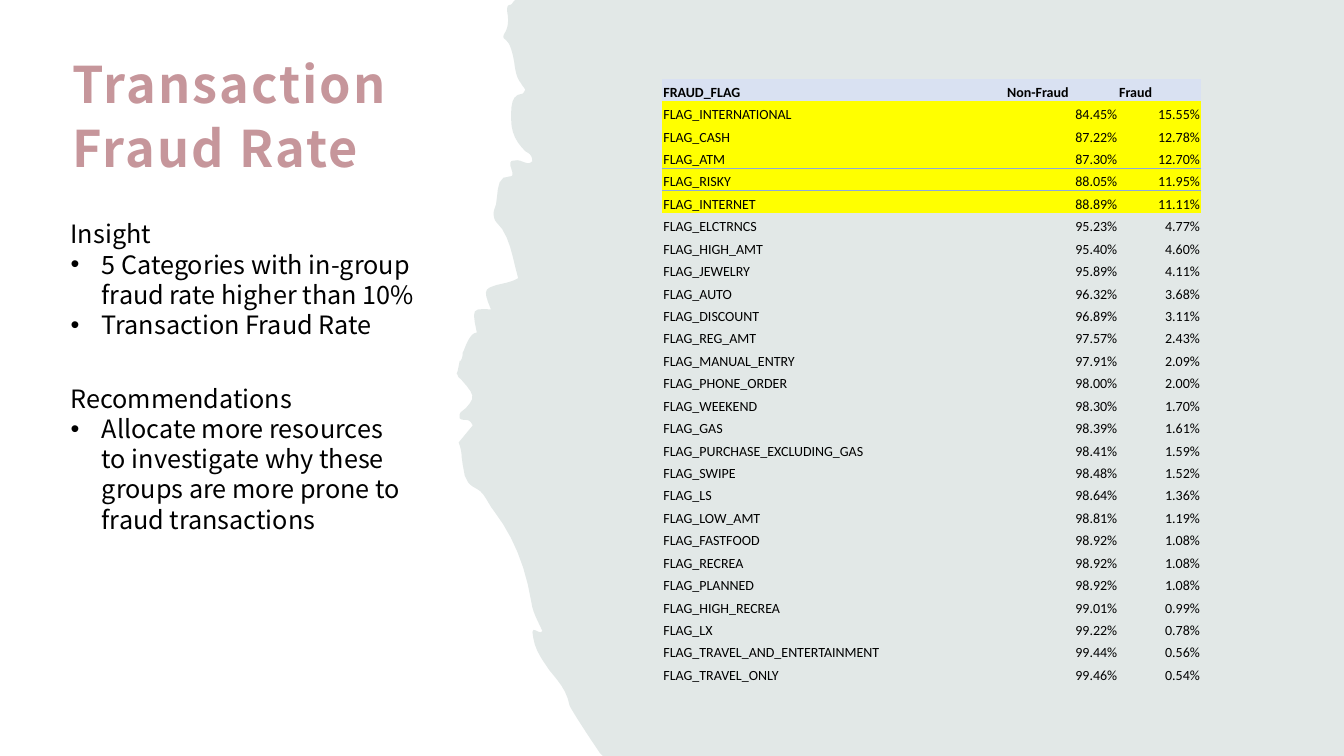
from dataclasses import dataclass

from lxml import etree
from pptx import Presentation
from pptx.dml.color import RGBColor
from pptx.enum.shapes import MSO_SHAPE
from pptx.enum.text import MSO_ANCHOR, MSO_AUTO_SIZE, PP_ALIGN
from pptx.oxml.ns import qn
from pptx.util import Inches, Pt

RECT = MSO_SHAPE.RECTANGLE
MIDDLE, BOTTOM, TOP = MSO_ANCHOR.MIDDLE, MSO_ANCHOR.BOTTOM, MSO_ANCHOR.TOP
LEFT, RIGHT = PP_ALIGN.LEFT, PP_ALIGN.RIGHT
NO_FIT = MSO_AUTO_SIZE.NONE
NO_STYLE = "{2D5ABB26-0587-4C30-8999-92F81FD0307C}"


@dataclass(frozen=True)
class Theme:
    paper: str = "FFFFFF"
    mist: str = "E2E8E7"
    rose: str = "C6969B"
    ink: str = "000000"
    header: str = "D9E1F2"
    highlight: str = "FFFF00"
    rule: str = "8EA9DB"
    text_font: str = "Noto Sans CJK SC"
    table_font: str = "Calibri"
    title_size: int = 36
    body_size: int = 18
    table_size: int = 10


T = Theme()
WIDTH, HEIGHT = 13.33, 7.5

# EDGE
TORN_EDGE = [
    (5.95, 7.47), (5.76, 7.19, 5.65, 7.01, 5.65, 7), (5.62, 6.84, 5.53, 6.75, 5.45, 6.65),
    (5.39, 6.56, 5.31, 6.46, 5.29, 6.33), (5.25, 6.16, 5.36, 6.32, 5.38, 6.26),
    (5.34, 6.17, 5.28, 6.07, 5.27, 5.97), (5.21, 5.61, 5.09, 5.32, 4.9, 5.07),
    (4.84, 5, 4.81, 4.89, 4.73, 4.85), (4.69, 4.83, 4.66, 4.81, 4.64, 4.78),
    (4.61, 4.72), (4.59, 4.61), (4.58, 4.54), (4.58, 4.5, 4.57, 4.45, 4.56, 4.42),
    (4.55, 4.39), (4.69, 4.22), (4.65, 4.13, 4.6, 4.19, 4.56, 4.15),
    (4.56, 4.11), (4.57, 4.09), (4.62, 4.05), (4.72, 3.94, 4.71, 3.92, 4.57, 3.76),
    (4.55, 3.75, 4.54, 3.73, 4.54, 3.72), (4.53, 3.71), (4.54, 3.68), (4.56, 3.58),
    (4.57, 3.58), (4.58, 3.56, 4.59, 3.54, 4.59, 3.5), (4.6, 3.48),
    (4.64, 3.37, 4.68, 3.3, 4.73, 3.3), (4.68, 3.06, 4.68, 3.06, 4.87, 3.07),
    (4.8, 2.9, 4.8, 2.87, 4.89, 2.84), (4.97, 2.81, 5.06, 2.81, 5.14, 2.76),
    (5.08, 2.55, 5.06, 2.33, 4.92, 2.2), (4.9, 2.18, 4.89, 2.12, 4.9, 2.09),
    (4.96, 1.98, 4.89, 1.74, 5.06, 1.75), (5.08, 1.75, 5.09, 1.74, 5.08, 1.7),
    (5.03, 1.57, 5.09, 1.6, 5.13, 1.59), (5.18, 1.59, 5.24, 1.65, 5.28, 1.6),
    (5.28, 1.53, 5.24, 1.52, 5.21, 1.5), (5.13, 1.42, 5.07, 1.33, 5.07, 1.18),
    (5.07, 1.05, 5.07, 0.94, 5.18, 0.93), (5.19, 0.93, 5.2, 0.91, 5.21, 0.89),
    (5.2, 0.87, 5.18, 0.85, 5.17, 0.83), (5.12, 0.77, 5.11, 0.69, 5.1, 0.61),
    (5.09, 0.56, 5.08, 0.51, 5.06, 0.46), (5.05, 0.43, 5.03, 0.41, 5.01, 0.39),
    (4.99, 0.38, 4.99, 0.36, 5, 0.34), (5.04, 0.28, 5.05, 0.21, 5.03, 0.11),
    (5.03, 0.08, 5.03, 0.06, 5.05, 0.05), (5.07, 0.05, 5.08, 0.04, 5.09, 0.02),
]

FLAG_RATES = [
    ("INTERNATIONAL", 84.45, 15.55), ("CASH", 87.22, 12.78), ("ATM", 87.30, 12.70),
    ("RISKY", 88.05, 11.95), ("INTERNET", 88.89, 11.11), ("ELCTRNCS", 95.23, 4.77),
    ("HIGH_AMT", 95.40, 4.60), ("JEWELRY", 95.89, 4.11), ("AUTO", 96.32, 3.68),
    ("DISCOUNT", 96.89, 3.11), ("REG_AMT", 97.57, 2.43), ("MANUAL_ENTRY", 97.91, 2.09),
    ("PHONE_ORDER", 98.00, 2.00), ("WEEKEND", 98.30, 1.70), ("GAS", 98.39, 1.61),
    ("PURCHASE_EXCLUDING_GAS", 98.41, 1.59), ("SWIPE", 98.48, 1.52), ("LS", 98.64, 1.36),
    ("LOW_AMT", 98.81, 1.19), ("FASTFOOD", 98.92, 1.08), ("RECREA", 98.92, 1.08),
    ("PLANNED", 98.92, 1.08), ("HIGH_RECREA", 99.01, 0.99), ("LX", 99.22, 0.78),
    ("TRAVEL_AND_ENTERTAINMENT", 99.44, 0.56), ("TRAVEL_ONLY", 99.46, 0.54),
]


def apply(obj, values):
    for name, value in values.items():
        setattr(obj, name, value)


def place(obj, box):
    apply(obj, dict(zip(("left", "top", "width", "height"), map(Inches, box))))


def paint(fill, color):
    fill.solid()
    fill.fore_color.rgb = RGBColor.from_string(color)


def add_run(p, text, font, size, color, bold=False):
    r = p.add_run()
    r.text = text
    apply(r.font, {"name": font, "size": Pt(size), "bold": bold})
    r.font.color.rgb = RGBColor.from_string(color)
    return r


def trace_curves(start, segments, steps=6):
    points = [start]
    for seg in segments:
        if len(seg) == 2:
            points.append(seg)
            continue
        x0, y0 = points[-1]
        x1, y1, x2, y2, x3, y3 = seg
        for i in range(1, steps + 1):
            t = i / steps
            a, b, c, d = (1 - t) ** 3, 3 * t * (1 - t) ** 2, 3 * t * t * (1 - t), t ** 3
            points.append((a * x0 + b * x1 + c * x2 + d * x3,
                           a * y0 + b * y1 + c * y2 + d * y3))
    return points


def add_backdrop(s, box):
    x, y, w, h = box
    paint(s.background.fill, T.mist)
    paper = s.shapes.add_shape(RECT, *map(Inches, box))
    edge = trace_curves((5.98, h), TORN_EDGE) + [(5.11, 0), (w, 0), (w, h)]
    points = [(Inches(x + px), Inches(y + py)) for px, py in edge]
    builder = s.shapes.build_freeform(*points[0], scale=1.0)
    builder.add_line_segments(points[1:], close=True)
    mist = builder.convert_to_shape()
    for index, (sp, color) in enumerate(((paper, T.paper), (mist, T.mist))):
        paint(sp.fill, color)
        sp.line.fill.background()
        sp.shadow.inherit = False
        s.shapes._spTree.insert(2 + index, sp._element)


def add_title(s, box, text):
    sp = s.shapes.title
    place(sp, box)
    tf = sp.text_frame
    apply(tf, {"word_wrap": True, "auto_size": NO_FIT, "vertical_anchor": MIDDLE,
               "margin_left": Inches(0.12), "margin_right": Inches(0.12),
               "margin_top": Inches(0.12), "margin_bottom": Inches(0.1)})
    p = tf.paragraphs[0]
    apply(p, {"alignment": LEFT, "line_spacing": 1.05})
    r = add_run(p, text, T.text_font, T.title_size, T.rose, True)
    r._r.get_or_add_rPr().set("spc", "150")


def add_notes_list(sp, box, heading, items):
    place(sp, box)
    tf = sp.text_frame
    apply(tf, {"word_wrap": True, "auto_size": NO_FIT, "vertical_anchor": TOP})
    for i, text in enumerate([heading] + items):
        p = tf.add_paragraph() if i else tf.paragraphs[0]
        apply(p, {"alignment": LEFT, "space_before": Pt(0), "line_spacing": 1.0})
        indent = Inches(0.31) if i else 0
        pPr = p._p.get_or_add_pPr()
        pPr.set("marL", str(indent))
        pPr.set("indent", str(-indent))
        if i:
            etree.SubElement(pPr, qn("a:buFont")).set("typeface", "Arial")
            etree.SubElement(pPr, qn("a:buChar")).set("char", "•")
        else:
            etree.SubElement(pPr, qn("a:buNone"))
        add_run(p, text, T.text_font, T.body_size, T.ink)


def add_border(cell, side):
    ln = etree.Element(qn(f"a:{side}"), w=str(Pt(0.5)))
    fill = etree.SubElement(ln, qn("a:solidFill"))
    etree.SubElement(fill, qn("a:srgbClr")).set("val", T.rule)
    cell._tc.get_or_add_tcPr().insert(0, ln)


def add_rate_table(s, box):
    rows = [("FRAUD_FLAG", "Non-Fraud", "Fraud")]
    rows += [(f"FLAG_{flag}", f"{ok:.2f}%", f"{bad:.2f}%") for flag, ok, bad in FLAG_RATES]
    fills = [T.header] + [T.highlight if bad > 10 else None for _, _, bad in FLAG_RATES]
    borders = {3: "lnB", 4: "lnT"}
    table = s.shapes.add_table(len(rows), 3, *map(Inches, box)).table
    apply(table, {"first_row": False, "horz_banding": False})
    table._tbl.tblPr.find(qn("a:tableStyleId")).text = NO_STYLE
    for col, width in zip(table.columns, (3.41, 1.11, 0.82)):
        col.width = Inches(width)
    for i, values in enumerate(rows):
        table.rows[i].height = Inches(box[3] / len(rows))
        for j, text in enumerate(values):
            cell = table.cell(i, j)
            apply(cell, {"vertical_anchor": BOTTOM, "margin_left": Inches(0.01),
                         "margin_right": Inches(0.01), "margin_top": Inches(0.01),
                         "margin_bottom": 0})
            if fills[i]:
                paint(cell.fill, fills[i])
            else:
                cell.fill.background()
            if i in borders:
                add_border(cell, borders[i])
            p = cell.text_frame.paragraphs[0]
            p.alignment = RIGHT if i and j else LEFT
            add_run(p, text, T.table_font, T.table_size, T.ink, i == 0)


def main():
    prs = Presentation()
    apply(prs, {"slide_width": Inches(WIDTH), "slide_height": Inches(HEIGHT)})
    s = prs.slides.add_slide(prs.slide_layouts[3])
    add_backdrop(s, (0, 0, WIDTH, HEIGHT))
    add_title(s, (0.6, 0.78, 3.86, 0.68), "Transaction Fraud Rate")
    add_notes_list(s.placeholders[1], (0.6, 2.12, 3.63, 1.31), "Insight",
                   ["5 Categories with in-group fraud rate higher than 10%",
                    "Transaction Fraud Rate"])
    add_notes_list(s.placeholders[2], (0.6, 3.75, 3.5, 1.62), "Recommendations",
                   ["Allocate more resources to investigate why these groups "
                    "are more prone to fraud transactions"])
    add_rate_table(s, (6.57, 0.78, 5.34, 6.01))
    prs.save("out.pptx")


if __name__ == "__main__":
    main()
